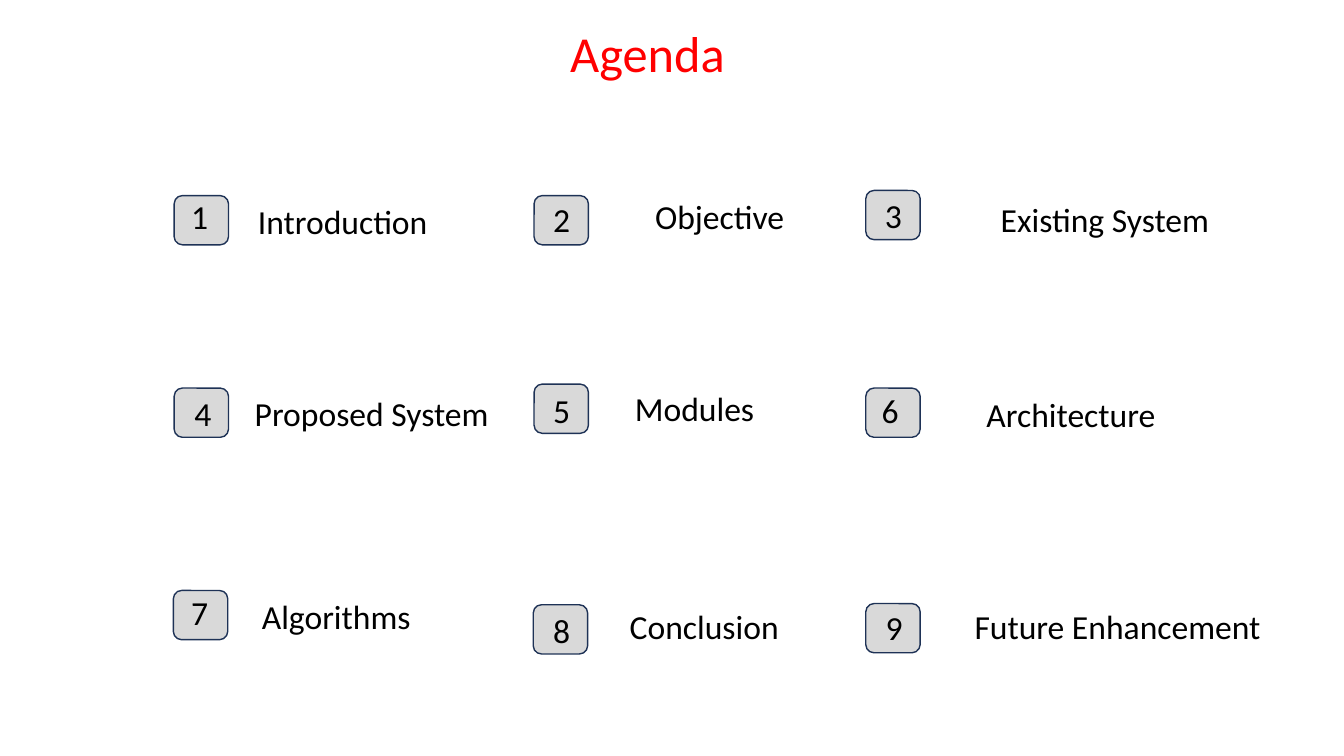
from pptx import Presentation
from pptx.dml.color import RGBColor
from pptx.enum.shapes import MSO_SHAPE as SHAPE
from pptx.enum.text import MSO_AUTO_SIZE as AUTO
from pptx.util import Cm, Pt

COLORS = {"title": "FF0000", "text": "000000", "box": "D9D9D9", "border": "1E3256"}
BOX_W, BOX_H = 1.37, 1.24
NUMBER_W, TEXT_H = 1.07, 1.27

prs = Presentation()
prs.slide_width, prs.slide_height = Cm(33.87), Cm(19.05)
s = prs.slides.add_slide(prs.slide_layouts[6])


def add_text(text, left, top, width, height=TEXT_H, size=24, color="text"):
    sp = s.shapes.add_textbox(Cm(left), Cm(top), Cm(width), Cm(height))
    tf = sp.text_frame
    tf.word_wrap = True
    tf.auto_size = AUTO.SHAPE_TO_FIT_TEXT
    r = tf.paragraphs[0].add_run()
    r.text = text
    r.font.name = "Calibri"
    r.font.size = Pt(size)
    r.font.color.rgb = RGBColor.from_string(COLORS[color])


add_text("Agenda", 14.12, 0.43, 6.17, height=1.8, size=36, color="title")

agenda = [
    ("Introduction", (4.39, 4.93), (4.57, 4.8), (6.25, 4.93, 5.08)),
    ("Objective", (13.46, 4.93), (13.69, 4.9), (16.26, 4.8, 5.08)),
    ("Existing System", (21.82, 4.8), (22.05, 4.78), (24.97, 4.9, 6.25)),
    ("Proposed System", (4.39, 9.78), (4.65, 9.78), (6.17, 9.78, 6.81)),
    ("Modules", (13.46, 9.68), (13.69, 9.7), (15.75, 9.65, 6.81)),
    ("Architecture", (21.82, 9.78), (21.97, 9.7), (24.61, 9.8, 5.08)),
    ("Algorithms", (4.37, 14.88), (4.57, 14.78), (6.35, 14.88, 8.53)),
    ("Conclusion", (13.44, 15.24), (13.69, 15.24), (15.62, 15.14, 5.08)),
    ("Future Enhancement", (21.82, 15.21), (22.07, 15.16), (24.31, 15.14, 9.37)),
]

for number, (topic, box_at, number_at, topic_at) in enumerate(agenda, 1):
    left, top = box_at
    sp = s.shapes.add_shape(SHAPE.ROUNDED_RECTANGLE, Cm(left), Cm(top), Cm(BOX_W), Cm(BOX_H))
    sp.shadow.inherit = False
    sp.fill.solid()
    sp.fill.fore_color.rgb = RGBColor.from_string(COLORS["box"])
    sp.line.color.rgb = RGBColor.from_string(COLORS["border"])
    sp.line.width = Pt(1)
    add_text(str(number), *number_at, NUMBER_W)
    add_text(topic, *topic_at)

prs.save("out.pptx")
